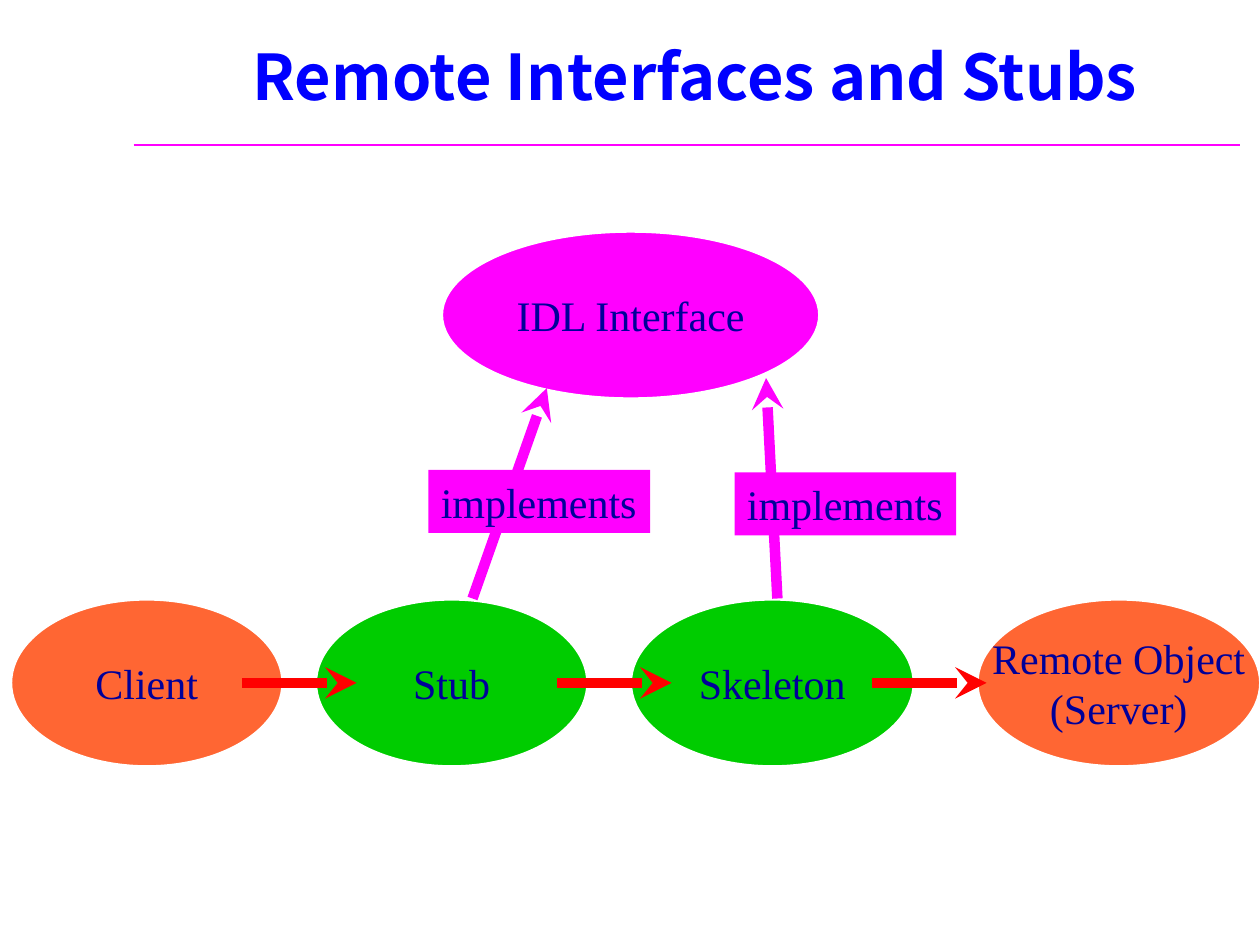
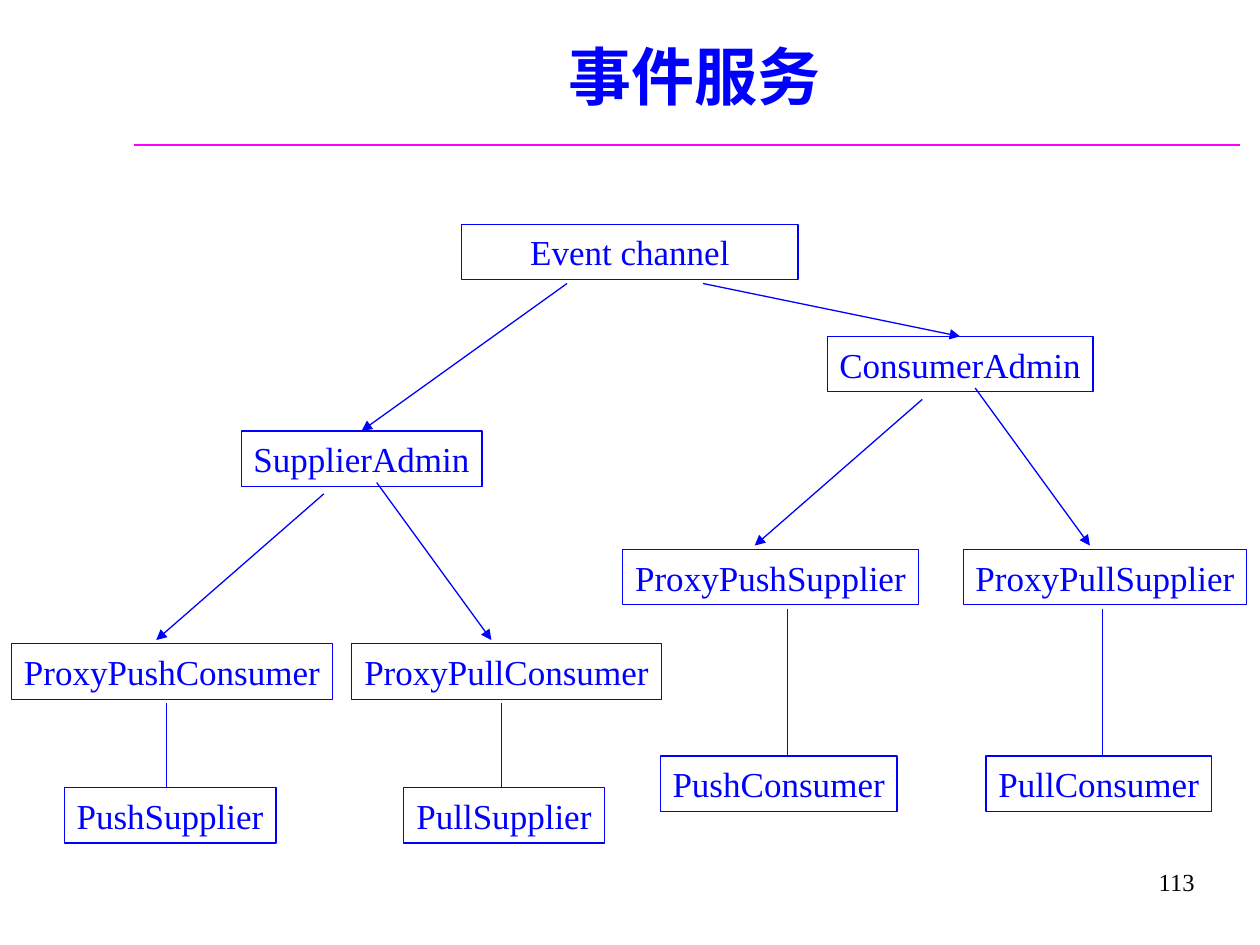
from lxml import etree
from pptx import Presentation
from pptx import util as u
from pptx.dml.color import RGBColor
from pptx.enum import shapes, text
from pptx.oxml.ns import qn

COLORS = {"blue": "0000FF", "magenta": "FF00FF", "navy": "000099", "green": "00CC00",
          "orange": "FF6633", "red": "FF0000", "white": "FFFFFF", "black": "000000"}
TITLE_FONT, BODY_FONT = "Noto Sans CJK SC", "Times New Roman"

# Slide 1: interface and the chain of objects below it
STUBS_TITLE = "Remote Interfaces and Stubs"
ELLIPSE_HEIGHT = 1.32
CHAIN_TOP = 4.76
ELLIPSES = [  # label, left, top, width, fill
    ("IDL Interface", 3.51, 1.84, 2.99, "magenta"),
    ("Client", 0.09, CHAIN_TOP, 2.15, "orange"),
    ("Stub", 2.51, CHAIN_TOP, 2.15, "green"),
    ("Skeleton", 5.01, CHAIN_TOP, 2.24, "green"),
    ("Remote Object\n(Server)", 7.76, CHAIN_TOP, 2.24, "orange"),
]
CALL_STARTS = [1.92, 4.42, 6.92]
CALL_LENGTH = 0.91
IMPLEMENTS = [  # arrow start, arrow end, label corner
    ((3.75, 4.75), (4.34, 3.08), (3.4, 3.73)),
    ((6.17, 4.75), (6.08, 3), (5.83, 3.75)),
]

# Slide 2: tree of the event channel, with two branches of the same form
EVENT_TITLE = "事件服务"
PAGE_NUMBER = "113"
BOX_HEIGHT = 0.44
CHANNEL = ("Event channel", 5, 1.78, 2.67)  # label, centre, top, width
BRANCHES = [
    {"shift": (0, 0), "start": (4.5, 2.25), "leaf_top": 6.25,
     "admin": ("SupplierAdmin", 1.91),
     "proxies": [("ProxyPushConsumer", 2.55), ("ProxyPullConsumer", 2.46)],
     "leaves": [("PushSupplier", 1.35, 1.68), ("PullSupplier", 4, 1.59)],
     "links": [1.32, 3.98]},
    {"shift": (4.75, -0.75), "start": (5.58, 2.25), "leaf_top": 6,
     "admin": ("ConsumerAdmin", 2.11),
     "proxies": [("ProxyPushSupplier", 2.35), ("ProxyPullSupplier", 2.25)],
     "leaves": [("PushConsumer", 6.18, 1.88), ("PullConsumer", 8.72, 1.79)],
     "links": [6.25, 8.75]},
]
# Places within a branch, before its shift
ADMIN_CENTER, ADMIN_TOP = 2.87, 3.42
PROXY_CENTERS, PROXY_TOP, LINK_TOP = (1.365, 4.02), 5.11, 5.58
PROXY_ARROWS = [((2.57, 3.92), (1.24, 5.08)), ((2.99, 3.83), (3.9, 5.08))]


def color(name):
    return RGBColor.from_string(COLORS[name])


def write(shape, words, size, ink, font=BODY_FONT, bold=False,
          align=text.PP_ALIGN.CENTER, wrap=False):
    frame = shape.text_frame
    frame.text = words
    frame.word_wrap = wrap
    frame.auto_size = text.MSO_AUTO_SIZE.NONE
    frame.vertical_anchor = text.MSO_ANCHOR.MIDDLE
    frame.margin_left = frame.margin_right = u.Inches(0.1)
    frame.margin_top = frame.margin_bottom = u.Inches(0.05)
    for paragraph in frame.paragraphs:
        paragraph.alignment = align
        for run in paragraph.runs:
            run.font.size = u.Pt(size)
            run.font.name = font
            run.font.bold = bold
            run.font.color.rgb = color(ink)
            east_asian = etree.SubElement(run.font._element, qn("a:ea"))
            east_asian.set("typeface", font)


def add_block(slide, kind, left, top, width, height, fill=None, line=None, line_width=1):
    block = slide.shapes.add_shape(kind, *map(u.Inches, (left, top, width, height)))
    block.shadow.inherit = False
    if fill:
        block.fill.solid()
        block.fill.fore_color.rgb = color(fill)
    else:
        block.fill.background()
    if line:
        block.line.color.rgb = color(line)
        block.line.width = u.Pt(line_width)
    else:
        block.line.fill.background()
    return block


def add_line(slide, start, end, ink, width, head=None):
    line = slide.shapes.add_connector(
        shapes.MSO_CONNECTOR.STRAIGHT, *map(u.Inches, (*start, *end)))
    line.line.color.rgb = color(ink)
    line.line.width = u.Pt(width)
    if head:
        etree.SubElement(line.line._get_or_add_ln(), qn("a:tailEnd")).set("type", head)
    etree.SubElement(line._element.spPr, qn("a:effectLst"))
    return line


def add_titled_slide(presentation, words):
    slide = presentation.slides.add_slide(presentation.slide_layouts[5])
    add_line(slide, (1.06, 1.15), (9.84, 1.15), "magenta", 1.5)
    title = slide.shapes.title
    title.left, title.top, title.width, title.height = map(
        u.Inches, (1.22, 0.13, 8.59, 0.94))
    write(title, words, 36, "blue", TITLE_FONT, bold=True, wrap=True)
    return slide


def add_tree_box(slide, label, center, top, width):
    box = add_block(slide, shapes.MSO_SHAPE.RECTANGLE, center - width / 2, top,
                    width, BOX_HEIGHT, line="blue", line_width=0.75)
    write(box, label, 20, "blue")
    return box


def add_tree_line(slide, start, end, head=None):
    return add_line(slide, start, end, "blue", 0.75, head)


def add_branch(slide, branch):
    shift_x, shift_y = branch["shift"]

    def moved(point):
        return point[0] + shift_x, point[1] + shift_y

    # Admin box, joined to the channel
    label, width = branch["admin"]
    admin_point = moved((ADMIN_CENTER, ADMIN_TOP))
    admin = add_tree_box(slide, label, *admin_point, width)
    add_tree_line(slide, branch["start"], admin_point, "triangle").end_connect(admin, 0)

    # Proxies
    for (label, width), center in zip(branch["proxies"], PROXY_CENTERS):
        add_tree_box(slide, label, *moved((center, PROXY_TOP)), width)
    for start, end in PROXY_ARROWS:
        add_tree_line(slide, moved(start), moved(end), "triangle")

    # Leaves and their links
    for (label, center, width), link in zip(branch["leaves"], branch["links"]):
        add_tree_box(slide, label, center, branch["leaf_top"], width)
        add_tree_line(slide, (link, LINK_TOP + shift_y), (link, branch["leaf_top"]))


def build_stubs(presentation):
    slide = add_titled_slide(presentation, STUBS_TITLE)
    for label, left, top, width, fill in ELLIPSES:
        ellipse = add_block(slide, shapes.MSO_SHAPE.OVAL, left, top, width,
                            ELLIPSE_HEIGHT, fill, "white")
        write(ellipse, label, 24, "navy")
    call_y = CHAIN_TOP + ELLIPSE_HEIGHT / 2
    for left in CALL_STARTS:
        add_line(slide, (left, call_y), (left + CALL_LENGTH, call_y), "red", 6, "stealth")
    for start, end, corner in IMPLEMENTS:
        add_line(slide, start, end, "magenta", 6, "stealth")
        label = add_block(slide, shapes.MSO_SHAPE.RECTANGLE, *corner, 1.76, 0.5, "magenta")
        write(label, "implements", 24, "navy", align=text.PP_ALIGN.LEFT)


def build_event_service(presentation):
    slide = add_titled_slide(presentation, EVENT_TITLE)
    add_tree_box(slide, *CHANNEL)
    for branch in BRANCHES:
        add_branch(slide, branch)
    number = slide.shapes.add_textbox(*map(u.Inches, (7.5, 6.75, 2.08, 0.5)))
    write(number, PAGE_NUMBER, 14, "black", align=text.PP_ALIGN.RIGHT, wrap=True)


def main():
    presentation = Presentation()
    presentation.slide_width = u.Inches(10)
    presentation.slide_height = u.Inches(7.5)
    build_stubs(presentation)
    build_event_service(presentation)
    presentation.save("out.pptx")


if __name__ == "__main__":
    main()
